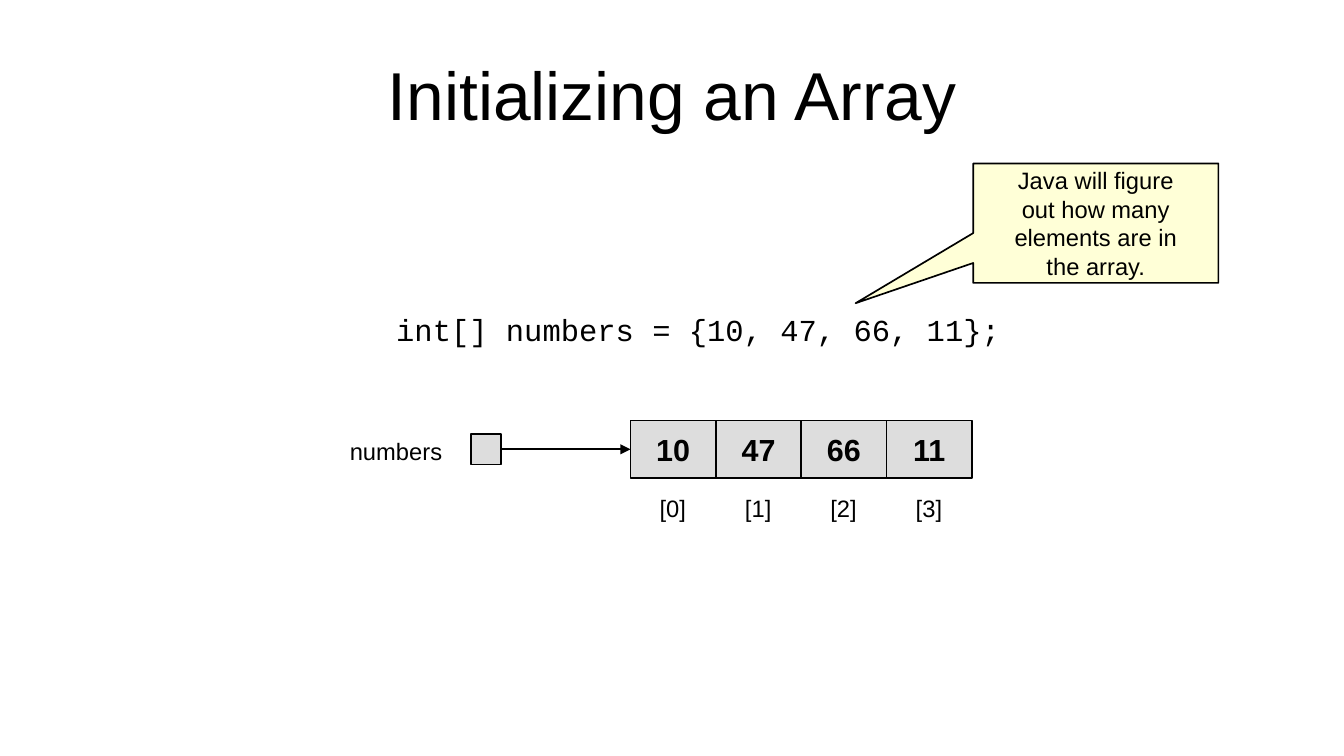
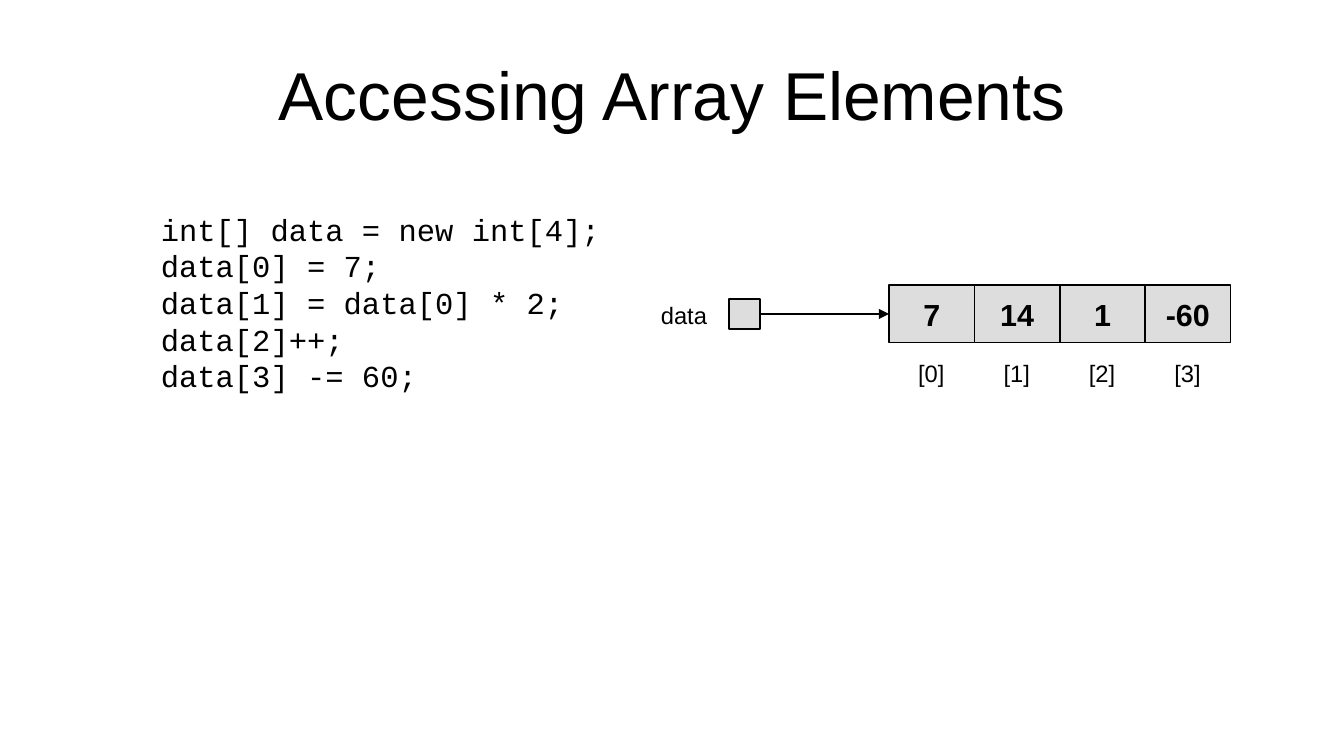
from lxml import etree
from pptx import Presentation
from pptx.dml.color import RGBColor
from pptx.enum.shapes import MSO_CONNECTOR, MSO_SHAPE
from pptx.enum.text import MSO_ANCHOR, PP_ALIGN
from pptx.oxml.ns import qn
from pptx.util import Inches, Pt

RECT, CALLOUT = MSO_SHAPE.RECTANGLE, MSO_SHAPE.RECTANGULAR_CALLOUT
STRAIGHT = MSO_CONNECTOR.STRAIGHT
LEFT, CENTER = PP_ALIGN.LEFT, PP_ALIGN.CENTER
TOP, MIDDLE = MSO_ANCHOR.TOP, MSO_ANCHOR.MIDDLE

COLORS = {"ink": "000000", "cell": "DDDDDD", "note": "FFFFD7"}
SANS, MONO = "Arial", "Courier New"
CELL_W, CELL_H = 0.7, 0.47
POINTER = 0.25
INDEX_W, LABEL_H = 0.42, 0.32

SLIDES = [
    {
        "title": "Initializing an Array",
        "code": ["int[] numbers = {10, 47, 66, 11};"],
        "code_box": (3.15, 2.5, 5.15, 0.38),
        "name": "numbers", "name_left": 2.77, "name_width": 0.96,
        "array_at": (5.17, 3.45),
        "values": ["10", "47", "66", "11"],
        "note": ["Java will figure", "out how many", "elements are in", "the array."],
    },
    {
        "title": "Accessing Array Elements",
        "code": ["int[] data = new int[4];", "data[0] = 7;", "data[1] = data[0] * 2;",
                 "data[2]++;", "data[3] -= 60;"],
        "code_box": (1.22, 1.68, 3.8, 2.3),
        "name": "data", "name_left": 5.32, "name_width": 0.58,
        "array_at": (7.29, 2.34),
        "values": ["7", "14", "1", "-60"],
        "note": [],
    },
]


def add_text(s, box, text, size, font=SANS, align=LEFT, anchor=TOP):
    sp = s.shapes.add_textbox(*map(Inches, box))
    set_text(sp, text, size, font, align, anchor)
    return sp


def set_text(sp, text, size, font=SANS, align=CENTER, anchor=MIDDLE, bold=False):
    tf = sp.text_frame
    tf.text = text
    tf.word_wrap = False
    tf.vertical_anchor = anchor
    for p in tf.paragraphs:
        p.alignment = align
        for r in p.runs:
            r.font.name = font
            r.font.size = Pt(size)
            r.font.bold = bold
            r.font.color.rgb = RGBColor.from_string(COLORS["ink"])


prs = Presentation()
prs.slide_width, prs.slide_height = Inches(11.02), Inches(6.2)

for content in SLIDES:
    s = prs.slides.add_slide(prs.slide_layouts[6])
    add_text(s, (0.55, 0.25, 9.92, 1.04), content["title"], 40, align=CENTER, anchor=MIDDLE)
    add_text(s, content["code_box"], "\n".join(content["code"]), 18, MONO)

    left, top = content["array_at"]
    boxes = []
    for i, value in enumerate(content["values"]):
        x = left + i * CELL_W
        cell = s.shapes.add_shape(RECT, Inches(x), Inches(top), Inches(CELL_W), Inches(CELL_H))
        set_text(cell, value, 18, bold=True)
        boxes.append((cell, "cell"))
        index_left = x + (CELL_W - INDEX_W) / 2
        add_text(s, (index_left, top + 0.55, INDEX_W, LABEL_H), f"[{i}]", 14)

    pointer = s.shapes.add_shape(RECT, Inches(left - 1.31), Inches(top + (CELL_H - POINTER) / 2),
                                 Inches(POINTER), Inches(POINTER))
    boxes.append((pointer, "cell"))
    add_text(s, (content["name_left"], top + 0.08, content["name_width"], LABEL_H),
             content["name"], 14)

    if content["note"]:
        note = s.shapes.add_shape(CALLOUT, Inches(7.98), Inches(1.34), Inches(2.01), Inches(0.98))
        note.adjustments[0], note.adjustments[1] = -0.98, 0.67
        set_text(note, "\n".join(content["note"]), 14)
        boxes.append((note, "note"))

    for sp, fill in boxes:
        sp.shadow.inherit = False
        sp.fill.solid()
        sp.fill.fore_color.rgb = RGBColor.from_string(COLORS[fill])
        sp.line.color.rgb = RGBColor.from_string(COLORS["ink"])
        sp.line.width = Pt(1)

    arrow = s.shapes.add_connector(STRAIGHT, 0, 0, 0, 0)
    arrow.begin_connect(pointer, 3)
    arrow.end_connect(boxes[0][0], 1)
    arrow.line.color.rgb = RGBColor.from_string(COLORS["ink"])
    arrow.line.width = Pt(1)
    etree.SubElement(arrow.line._get_or_add_ln(), qn("a:tailEnd"), type="triangle")
    etree.SubElement(arrow._element.spPr, qn("a:effectLst"))

prs.save("out.pptx")
